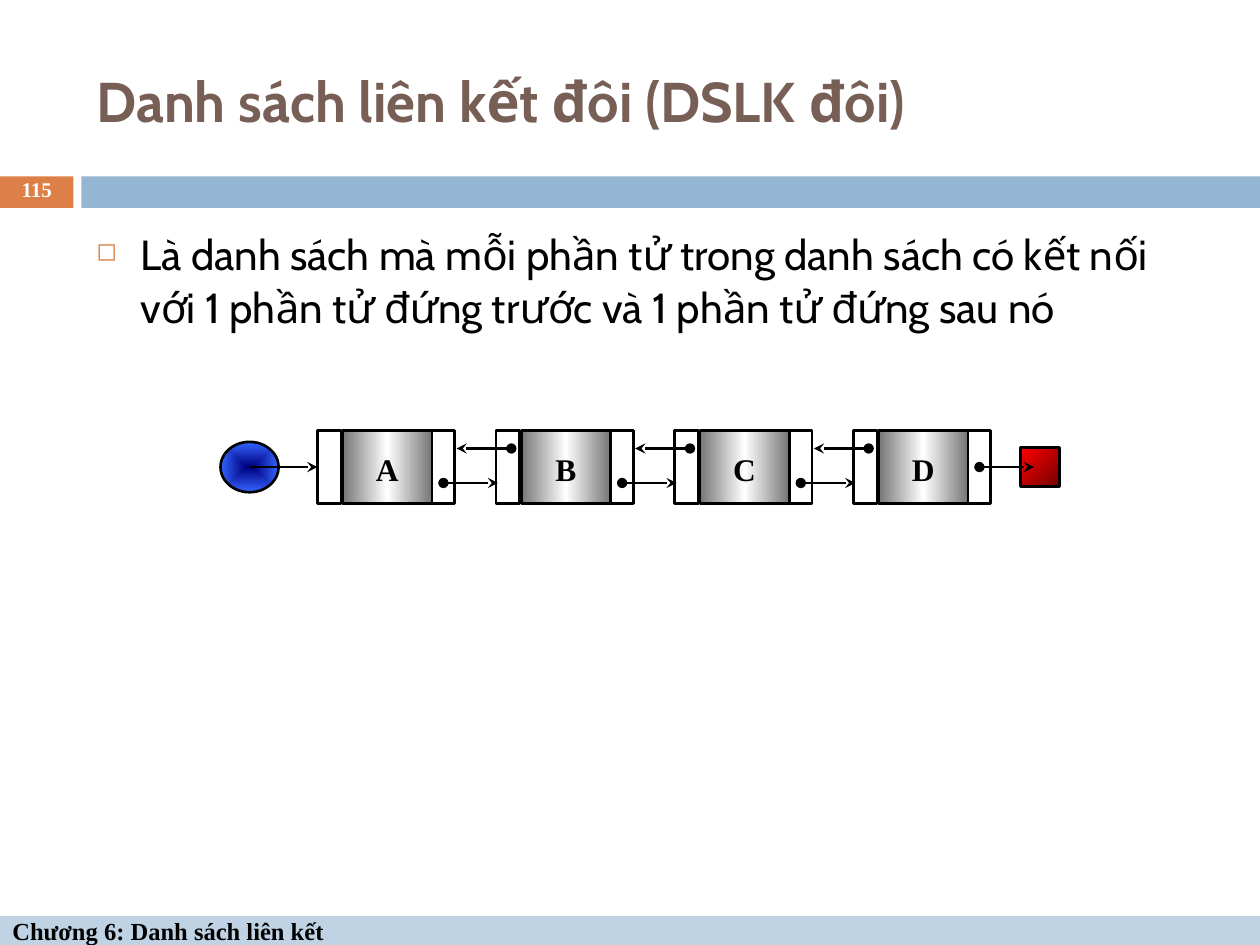
"""Build a slide that explains the doubly linked list."""
from dataclasses import dataclass

from lxml.etree import SubElement
from pptx import Presentation
from pptx.dml.color import RGBColor as Color
from pptx.enum.shapes import MSO_CONNECTOR as Connector, MSO_SHAPE as Shape
from pptx.enum.text import MSO_ANCHOR as Anchor, PP_ALIGN as Align
from pptx.oxml.ns import qn
from pptx.util import Pt


@dataclass(frozen=True)
class Theme:
    heading_font: str = "Cabin"
    label_font: str = "Times New Roman"
    ink: str = "000000"
    white: str = "FFFFFF"
    title: str = "775F55"
    accent: str = "DD8047"
    band: str = "94B6D2"
    footer: str = "BFD3E4"
    head_stops: tuple = ((0, "000080"), (100, "3366FF"))
    end_stops: tuple = ((0, "FF0000"), (100, "760000"))
    node_stops: tuple = ((0, "767676"), (50, "FFFFFF"), (100, "767676"))
    title_size: float = 32
    body_size: float = 24
    node_size: float = 18
    footer_size: float = 14
    number_size: float = 12
    line_width: float = 1.5


class SlideBuilder:
    def __init__(self, slide, theme):
        self.slide = slide
        self.theme = theme

    def shape(self, kind, left, top, width, height, fill=None, outlined=True):
        shape = self.slide.shapes.add_shape(kind, Pt(left), Pt(top), Pt(width), Pt(height))
        shape.shadow.inherit = False
        if fill:
            shape.fill.solid()
            shape.fill.fore_color.rgb = Color.from_string(fill)
        else:
            shape.fill.background()
        if outlined:
            shape.line.color.rgb = Color.from_string(self.theme.ink)
            shape.line.width = Pt(self.theme.line_width)
        else:
            shape.line.fill.background()
        return shape

    def gradient(self, shape, stops, angle=None):
        shape.fill.gradient()
        fill = shape._element.spPr.find(qn("a:gradFill"))
        for child in list(fill):
            fill.remove(child)
        stop_list = SubElement(fill, qn("a:gsLst"))
        for position, color in stops:
            stop = SubElement(stop_list, qn("a:gs"), pos=str(position * 1000))
            SubElement(stop, qn("a:srgbClr"), val=color)
        if angle is None:
            center = SubElement(fill, qn("a:path"), {"path": "rect"})
            SubElement(center, qn("a:fillToRect"), dict.fromkeys("ltrb", "50000"))
        else:
            SubElement(fill, qn("a:lin"), ang=str(angle * 60000), scaled="0")

    def text_box(self, left, top, width, height):
        return self.slide.shapes.add_textbox(Pt(left), Pt(top), Pt(width), Pt(height))

    def set_text(self, box, text, size, font, color, bold=True,
                 align=Align.LEFT, anchor=Anchor.MIDDLE):
        frame = box.text_frame
        frame.word_wrap = True
        frame.vertical_anchor = anchor
        para = frame.paragraphs[0]
        para.text = text
        para.alignment = align
        para.font.size = Pt(size)
        para.font.name = font
        para.font.bold = bold
        para.font.color.rgb = Color.from_string(color)
        return para

    def bullet(self, box, text):
        theme = self.theme
        para = box.text_frame.paragraphs[0]
        properties = para._p.get_or_add_pPr()
        properties.set("marL", str(Pt(25.2)))
        properties.set("indent", str(Pt(-25.2)))
        bullet_color = SubElement(properties, qn("a:buClr"))
        SubElement(bullet_color, qn("a:srgbClr"), val=theme.accent)
        SubElement(properties, qn("a:buSzPct"), val="60000")
        SubElement(properties, qn("a:buChar"), char="◻")
        self.set_text(box, text, theme.body_size, theme.heading_font, theme.ink,
                      bold=False, anchor=Anchor.TOP)
        para.line_spacing = Pt(30)

    def arrow(self, start, end, y, dotted=True):
        arrow = self.slide.shapes.add_connector(
            Connector.STRAIGHT, Pt(start), Pt(y), Pt(end), Pt(y))
        arrow.line.color.rgb = Color.from_string(self.theme.ink)
        arrow.line.width = Pt(self.theme.line_width)
        line = arrow.line._get_or_add_ln()
        if dotted:
            SubElement(line, qn("a:headEnd"), type="oval")
        SubElement(line, qn("a:tailEnd"), type="stealth")
        SubElement(arrow._element.spPr, qn("a:effectLst"))
        return arrow

    def node(self, left, top, height, label):
        theme = self.theme
        self.shape(Shape.RECTANGLE, left + 65, top, 13.5, height)
        body = self.shape(Shape.RECTANGLE, left + 14.4, top, 51, height)
        self.gradient(body, theme.node_stops, 0)
        frame = body.text_frame
        frame.margin_left = frame.margin_right = frame.margin_bottom = 0
        frame.margin_top = Pt(2.2)
        self.set_text(body, label, theme.node_size, theme.label_font, theme.ink,
                      align=Align.CENTER)
        return self.shape(Shape.RECTANGLE, left, top, 13.5, height)


def main():
    deck = Presentation()
    deck.slide_width, deck.slide_height = Pt(720), Pt(540)
    theme = Theme()
    page = SlideBuilder(deck.slides.add_slide(deck.slide_layouts[6]), theme)

    page.shape(Shape.RECTANGLE, 0, 100.8, 42, 18, theme.accent, outlined=False)
    page.shape(Shape.RECTANGLE, 46.5, 100.8, 673.5, 18, theme.band, outlined=False)
    footer = page.shape(Shape.RECTANGLE, 0, 523.5, 720, 16.5, theme.footer, outlined=False)
    page.set_text(footer, "Chương 6: Danh sách liên kết", theme.footer_size,
                  theme.label_font, theme.ink)
    title = page.text_box(48, 18, 642, 78)
    page.set_text(title, "Danh sách liên kết đôi (DSLK đôi)", theme.title_size,
                  theme.heading_font, theme.title)
    page.bullet(page.text_box(48, 126, 642, 354),
                "Là danh sách mà mỗi phần tử trong danh sách có kết nối "
                "với 1 phần tử đứng trước và 1 phần tử đứng sau nó")

    first, pitch, top, height = 181.4, 102.1, 246, 41.8
    middle = top + height / 2
    head = page.shape(Shape.OVAL, 126, middle - 14.4, 33.2, 28.8)
    page.gradient(head, theme.head_stops)
    end = page.shape(Shape.RECTANGLE, 583.2, middle - 11.2, 22.4, 22.4)
    page.gradient(end, theme.end_stops, 45)

    labels = "ABCD"
    for index, label in enumerate(labels):
        left = first + index * pitch
        previous_cell = page.node(left, top, height, label)
        if index == 0:
            page.arrow(143, left, middle, dotted=False).end_connect(previous_cell, 1)
        else:
            page.arrow(left + 8.7, left - 22.6, top + 10.3)
        is_last = index == len(labels) - 1
        page.arrow(left + 72, left + 103.2, middle if is_last else top + 30)

    number = page.text_box(0, 100, 42, 19.4)
    para = page.set_text(number, "115", theme.number_size, theme.label_font,
                         theme.white, align=Align.CENTER)
    para.line_spacing = 0.8
    deck.save("out.pptx")


if __name__ == "__main__":
    main()
